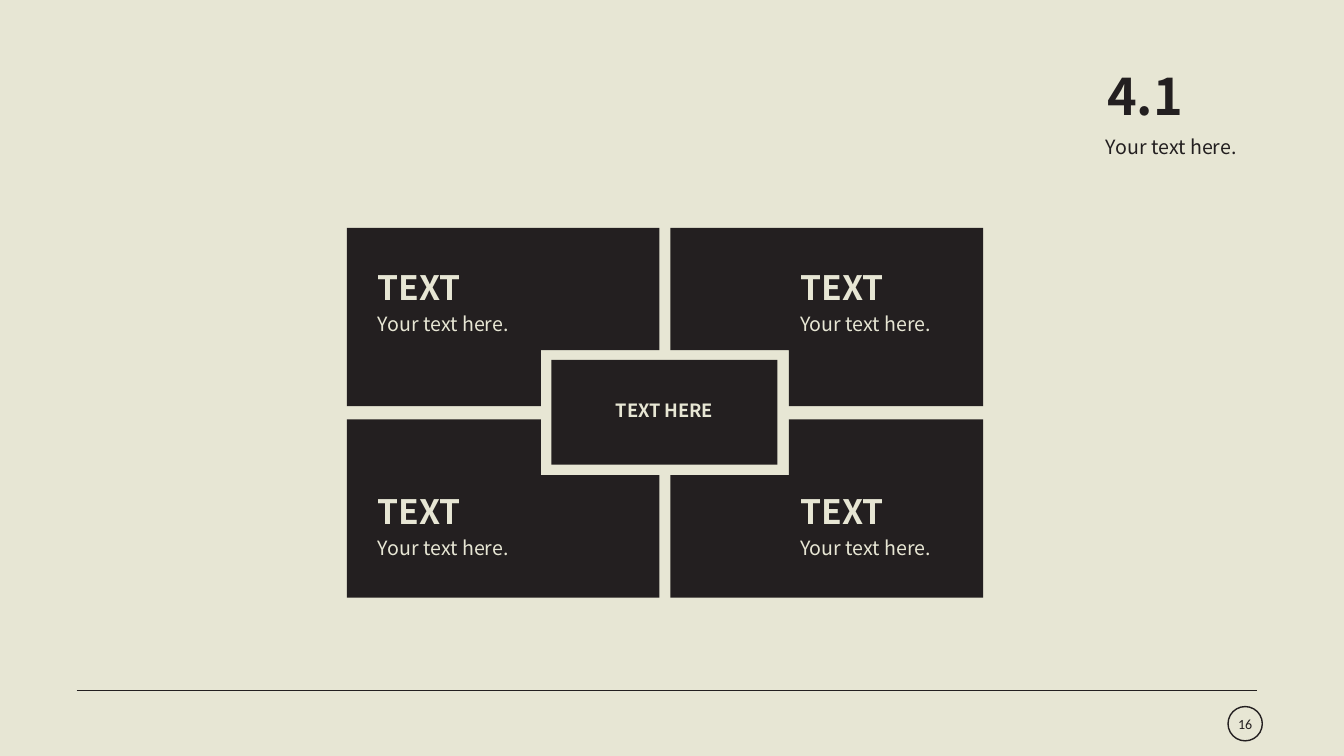
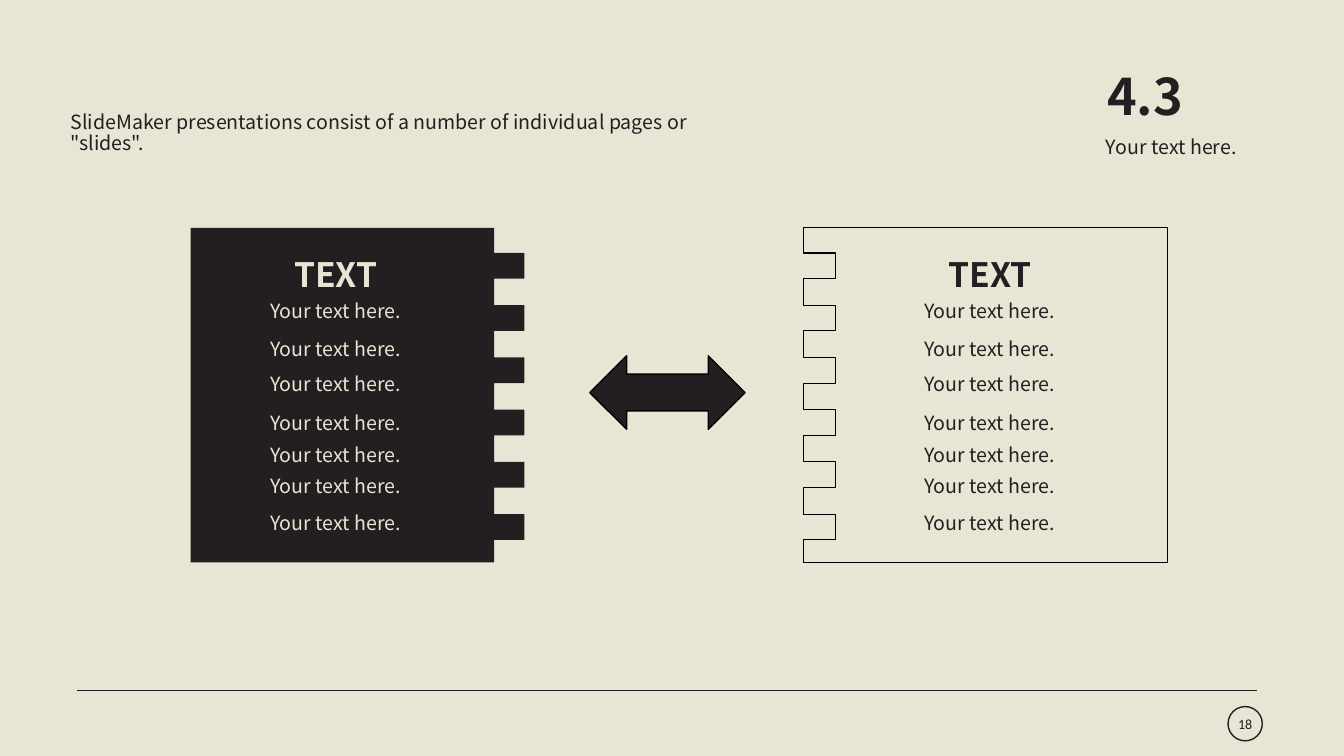
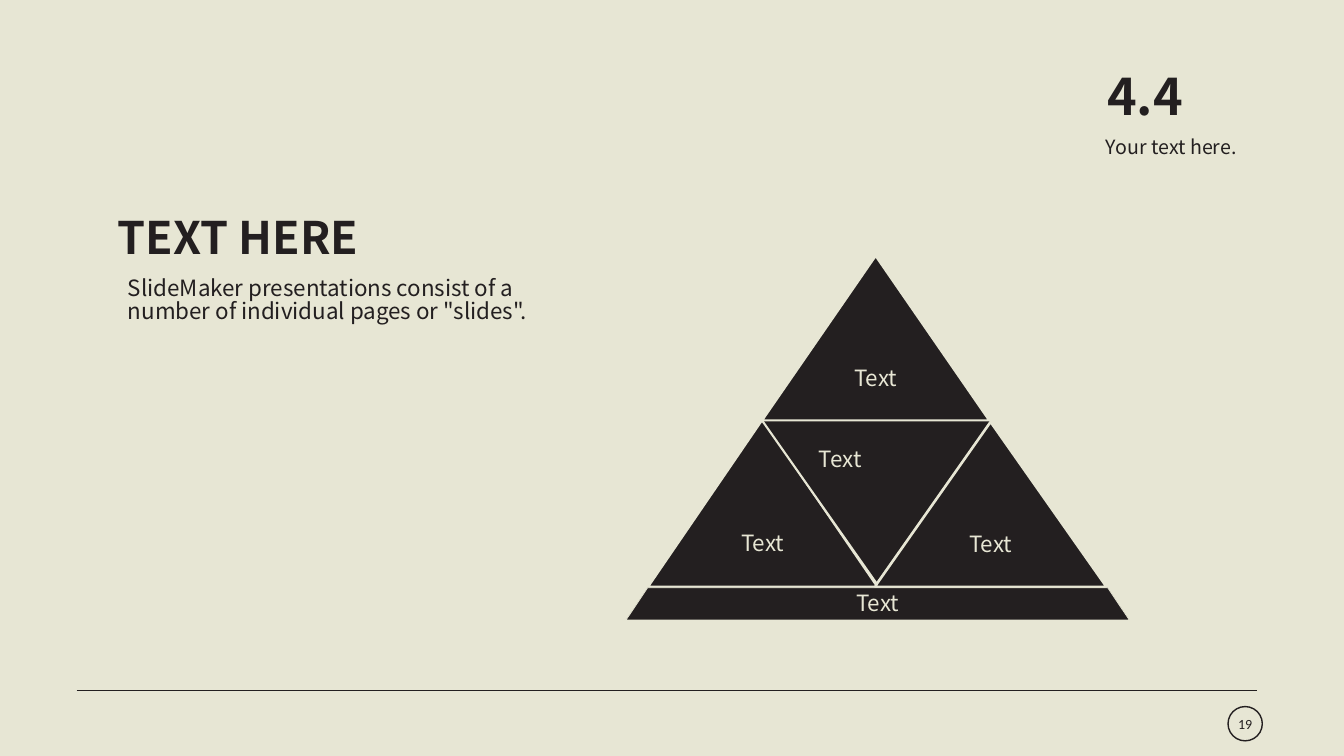
from pptx import Presentation
from pptx.dml.color import RGBColor
from pptx.enum.shapes import MSO_CONNECTOR, MSO_SHAPE
from pptx.enum.text import MSO_ANCHOR, MSO_AUTO_SIZE, PP_ALIGN
from pptx.oxml.ns import qn
from pptx.util import Inches, Pt

COLORS = {"paper": "E7E6D4", "ink": "231F20", "outline": "000000"}
FONT = "Noto Sans CJK SC"
NUMBER_FONT = "Calibri"
SAMPLE = "Your text here."
SENTENCE = 'SlideMaker presentations consist of a number of individual pages or "slides".'

deck = Presentation()
deck.slide_width, deck.slide_height = Inches(13.33), Inches(7.5)
CELL = deck.slide_height / 75  # square grid cell: 75 rows, about 133 columns


def draw(page, kind, area, fill=None, line=None, width=1):
    """Add a text box (kind None), a preset shape, or a freeform (area lists its corners)."""
    if kind == "freeform":
        corners = [(int(x * CELL), int(y * CELL)) for x, y in area]
        builder = page.shapes.build_freeform(*corners[0])
        builder.add_line_segments(corners[1:], close=True)
        shape = builder.convert_to_shape()
    else:
        area = [int(length * CELL) for length in area]
        if kind is None:
            return page.shapes.add_textbox(*area)
        shape = page.shapes.add_shape(kind, *area)
    shape.shadow.inherit = False
    for part, color in ((shape.fill, fill), (shape.line.fill, line)):
        if color:
            part.solid()
            part.fore_color.rgb = RGBColor.from_string(COLORS[color])
        else:
            part.background()
    if line:
        shape.line.width = Pt(width)
    return shape


def write(shape, text, size, color="ink", bold=False, centred=False, wrap=True,
          font=FONT, spacing=0.86):
    """Fill a shape with one formatted paragraph; centred text has no inner margins."""
    frame = shape.text_frame
    frame.text = text
    frame.word_wrap = wrap
    frame.auto_size = MSO_AUTO_SIZE.NONE
    frame.vertical_anchor = MSO_ANCHOR.MIDDLE if centred else MSO_ANCHOR.TOP
    if centred:
        frame.margin_left = frame.margin_right = frame.margin_top = frame.margin_bottom = 0
    para = frame.paragraphs[0]
    para.alignment = PP_ALIGN.CENTER if centred else PP_ALIGN.LEFT
    para.line_spacing = spacing
    span = para.runs[0]
    span.font.name, span.font.size, span.font.bold = font, Pt(size), bold
    span.font.color.rgb = RGBColor.from_string(COLORS[color])


# Shared background
background = deck.slide_master.background.fill
background.solid()
background.fore_color.rgb = RGBColor.from_string(COLORS["paper"])

# Shared title, subtitle, footer rule and page number
pages = []
for section, number in (("4.1", "16"), ("4.3", "18"), ("4.4", "19")):
    page = deck.slides.add_slide(deck.slide_layouts[5])
    title = page.shapes.title
    title.left, title.top, title.width, title.height = (
        int(length * CELL) for length in (108.8, 6.8, 19.8, 7.1))
    write(title, section, 36, bold=True)
    write(draw(page, None, (108.7, 13.2, 20, 3.4)), SAMPLE, 14)

    rule = page.shapes.add_connector(
        MSO_CONNECTOR.STRAIGHT, *(int(end * CELL) for end in (7.6, 68.5, 124.7, 68.5)))
    rule.line.color.rgb = RGBColor.from_string(COLORS["ink"])
    rule.line.width = Pt(0.5)
    properties = rule._element.spPr
    properties.append(properties.makeelement(qn("a:effectLst"), {}))

    badge = draw(page, MSO_SHAPE.OVAL, (121.8, 70.1, 3.4, 3.4), line="ink")
    write(badge, number, 10, centred=True, wrap=False, font=NUMBER_FONT, spacing=1)
    pages.append(page)
matrix_page, match_page, pyramid_page = pages

# Matrix: four notched quadrants mirrored about one centre
center_x, center_y = 65.95, 40.95
for side_y, label_top in ((-1, 26.6), (1, 48.8)):
    for side_x, label_left in ((-1, 36.5), (1, 78.4)):
        offsets = ((31.55, 0.65), (12.3, 0.65), (12.3, 6.2),
                   (0.55, 6.2), (0.55, 18.35), (31.55, 18.35))
        draw(matrix_page, "freeform",
             [(center_x + side_x * x, center_y + side_y * y) for x, y in offsets], "ink")
        write(draw(matrix_page, None, (label_left, label_top, 13.5, 5)),
              "TEXT", 24, "paper", bold=True)
        write(draw(matrix_page, None, (label_left, label_top + 4.2, 16.4, 3.4)),
              SAMPLE, 14, "paper")
core = draw(matrix_page, MSO_SHAPE.RECTANGLE, (54.7, 35.7, 22.4, 10.4), "ink")
write(core, "TEXT HERE", 13, "paper", bold=True, centred=True, wrap=False)

# Match: two panels whose toothed edges fit together
write(draw(match_page, None, (6, 10.8, 65.4, 5.7)), SENTENCE, 14)
panels = (  # outer edge, toothed edge, tooth tip, label left, fill, line, text colour
    (18.9, 49, 52, 25.8, "ink", None, "paper"),
    (115.8, 79.7, 82.9, 90.7, "paper", "outline", "ink"),
)
for outer, edge, tip, label_left, fill, line, color in panels:
    corners = [(outer, 22.6), (edge, 22.6)]
    for tooth in range(6):
        top = 25.1 + 5.18 * tooth
        bottom = top + 2.55
        corners += [(edge, top), (tip, top), (tip, bottom), (edge, bottom)]
    corners += [(edge, 55.8), (outer, 55.8)]
    draw(match_page, "freeform", corners, fill, line, 0.75)
    write(draw(match_page, None, (label_left + 2.4, 25.3, 13.5, 5)),
          "TEXT", 24, color, bold=True)
    for label_top in (29.5, 33.3, 36.7, 40.6, 43.8, 46.9, 50.5):
        write(draw(match_page, None, (label_left, label_top, 16.4, 3.4)), SAMPLE, 14, color)
draw(match_page, MSO_SHAPE.LEFT_RIGHT_ARROW, (58.5, 35.3, 15.4, 7.3), "ink", "outline")

# Pyramid: four triangles on a base
write(draw(pyramid_page, None, (10.7, 21.1, 26.8, 6.4)), "TEXT HERE", 32, bold=True, wrap=False)
write(draw(pyramid_page, None, (11.7, 27.1, 46.5, 6.4)), SENTENCE, 16)
TRIANGLE = MSO_SHAPE.ISOSCELES_TRIANGLE
INVERTED = MSO_SHAPE.FLOWCHART_MERGE
blocks = (
    (TRIANGLE, (64.3, 41.6, 22.7, 16.6), 1.5),
    (MSO_SHAPE.TRAPEZOID, (62.1, 58.3, 49.9, 3.2), 0.5),
    (INVERTED, (75.5, 41.6, 22.9, 16.3), 1.5),
    (TRIANGLE, (75.6, 25.4, 22.5, 16.3), 1.5),
    (TRIANGLE, (86.8, 41.9, 22.9, 16.3), 1.5),
)
for kind, area, width in blocks:
    block = draw(pyramid_page, kind, area, "ink", "paper", width)
    write(block, "Text", 16, "paper", centred=True)
    if kind == MSO_SHAPE.TRAPEZOID:
        block.adjustments[0] = 0.67
    if kind == INVERTED:
        block.text_frame.paragraphs[0].alignment = PP_ALIGN.LEFT

deck.save("out.pptx")
